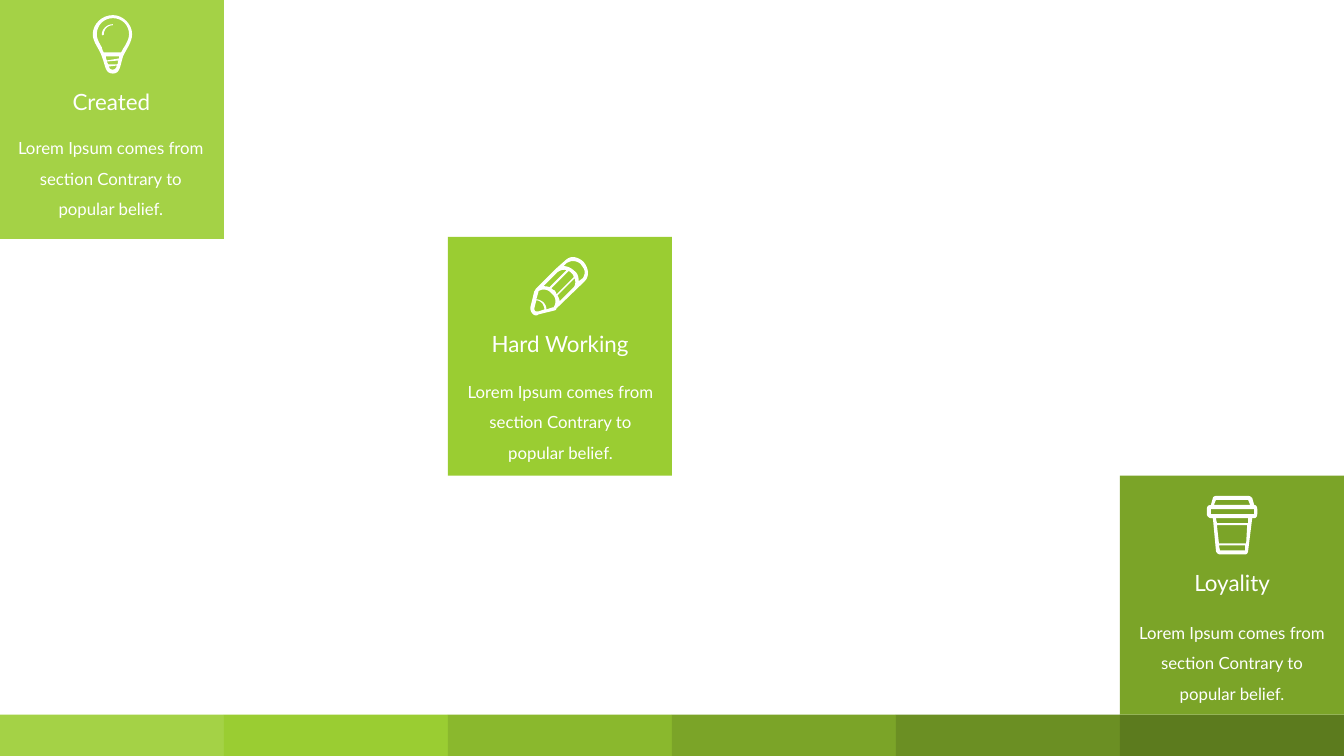
"""Build a slide with three value cards stepping down to a six-colour footer band."""
from pptx import Presentation
from pptx import util as u
from pptx.dml import color as dml
from pptx.enum import shapes, text

FONT, WHITE = "Lato", "FFFFFF"
BODY = "Lorem Ipsum comes from section Contrary to popular belief."
GREENS = ["A4D246", "9ACD32", "8AB82D", "7BA428", "6B8F23", "5C7B1E"]
CURVE_STEPS = 8

prs = Presentation()
prs.slide_width, prs.slide_height = u.Inches(13.33), u.Inches(7.5)
s = prs.slides.add_slide(prs.slide_layouts[6])
col = prs.slide_width / len(GREENS)
card_h = u.Inches(2.37)
band_top = u.Inches(7.09)


def paint(sp, color):
    """Give a shape a flat fill without line or shadow."""
    sp.shadow.inherit = False
    sp.fill.solid()
    sp.fill.fore_color.rgb = dml.RGBColor.from_string(color)
    sp.line.fill.background()


def write(content, x, y, w, h, size=12, spacing=None, wrap=True):
    """Add a centred white text box, measured in inches."""
    box = s.shapes.add_textbox(u.Inches(x), u.Inches(y), u.Inches(w), u.Inches(h))
    tf = box.text_frame
    tf.word_wrap = wrap
    tf.auto_size = text.MSO_AUTO_SIZE.SHAPE_TO_FIT_TEXT
    p = tf.paragraphs[0]
    p.alignment = text.PP_ALIGN.CENTER
    p.line_spacing = spacing
    r = p.add_run()
    r.text = content
    r.font.name, r.font.size = FONT, u.Pt(size)
    r.font.color.rgb = dml.RGBColor.from_string(WHITE)


for i, green in enumerate(GREENS):
    sp = s.shapes.add_shape(shapes.MSO_SHAPE.RECTANGLE, round(i * col), band_top,
                            round(col), prs.slide_height - band_top)
    paint(sp, green)

bulb = [
    [(20, 0), (9, 0, 0, 9, 0, 19), (0, 27, 7, 34, 9, 41), (13, 51, 12, 58, 20, 58),
     (27, 58, 27, 51, 30, 41), (33, 34, 39, 27, 39, 19), (39, 9, 30, 0, 20, 0)],
    [(24, 49), (16, 49), (15, 49, 15, 48, 14, 46), (26, 45), (25, 46),
     (25, 48, 25, 48, 24, 49)],
    [(14, 45), (13, 43, 13, 42, 13, 41), (27, 41), (26, 41, 26, 42, 26, 43)],
    [(20, 54), (18, 54, 17, 54, 16, 51), (24, 50), (23, 53, 22, 54, 20, 54)],
    [(28, 37), (11, 37), (10, 36, 9, 33, 9, 32), (6, 27, 4, 23, 4, 19),
     (4, 10, 11, 3, 20, 3), (29, 3, 36, 10, 36, 19), (36, 23, 34, 27, 31, 32),
     (30, 33, 29, 36, 28, 37)],
]
shine = [
    [(20, 9), (14, 9, 9, 14, 9, 19), (9, 20, 9, 20, 10, 20), (10, 20, 11, 20, 11, 19),
     (11, 14, 15, 10, 20, 10)],
]
pencil = [
    [(53, 5), (50, 2, 46, 0, 42, 0), (39, 0, 36, 2, 34, 4), (25, 12), (6, 31),
     (5, 32, 5, 33, 4, 34), (0, 50), (0, 55, 3, 58, 6, 58), (7, 58, 8, 57, 8, 57),
     (24, 53), (25, 53, 26, 52, 26, 51), (54, 24), (59, 19, 58, 11, 53, 5)],
    [(29, 43), (29, 42, 28, 40, 27, 38), (44, 21), (45, 24, 45, 28, 43, 30), (29, 44)],
    [(26, 37), (26, 36, 25, 34, 24, 33), (23, 33, 22, 32, 21, 31), (38, 14),
     (39, 14, 40, 15, 41, 16), (42, 17, 43, 18, 43, 20)],
    [(19, 30), (17, 29, 15, 29, 13, 29), (27, 15), (30, 13, 33, 12, 36, 13)],
    [(8, 54), (7, 54, 7, 54, 6, 54), (5, 54, 4, 53, 4, 51), (6, 43),
     (8, 43, 10, 44, 12, 46), (13, 48, 14, 50, 14, 52)],
    [(16, 52), (16, 49, 15, 47, 13, 45), (11, 43, 8, 42, 6, 42), (8, 35), (8, 34),
     (12, 31, 18, 32, 21, 36), (26, 40, 26, 46, 23, 50), (22, 50)],
    [(52, 21), (48, 24), (48, 23), (48, 20, 47, 16, 44, 14), (41, 11, 37, 9, 33, 9),
     (36, 6), (38, 5, 40, 4, 42, 4), (45, 4, 48, 5, 50, 7), (52, 10, 54, 12, 54, 15),
     (54, 17, 53, 20, 52, 21)],
]
cup = [
    [(47, 9), (45, 2), (44, 1, 43, 0, 41, 0), (9, 0), (8, 0, 6, 1, 6, 2), (4, 9),
     (1, 9, 0, 11, 0, 13), (0, 18), (0, 20, 2, 22, 4, 22), (6, 22), (9, 54),
     (9, 56, 11, 58, 13, 58), (38, 58), (40, 58, 41, 56, 41, 54), (45, 22), (47, 22),
     (49, 22, 50, 20, 50, 18), (50, 13), (50, 11, 49, 9, 47, 9)],
    [(9, 4), (41, 4), (43, 9), (7, 9)],
    [(13, 54), (12, 49), (38, 49), (38, 54)],
    [(39, 47), (12, 47), (10, 29), (40, 29)],
    [(41, 27), (10, 27), (9, 22), (41, 22)],
    [(47, 18), (4, 18), (4, 13), (47, 13)],
]

cards = [
    ("Loyality", 5, 4.72, GREENS[3], (11.73, 5.6, 0.98), (11.12, 6.03), (11.97, 4.92), [cup]),
    ("Hard Working", 2, 2.35, GREENS[1], (4.75, 3.23, 1.61), (4.46, 3.64), (5.26, 2.55), [pencil]),
    ("Created", 0, 0, GREENS[0], (0.61, 0.83, 0.99), (0, 1.22), (0.92, 0.15), [bulb, shine]),
]
for title, column, top, green, title_at, body_at, icon_at, icon in cards:
    sp = s.shapes.add_shape(shapes.MSO_SHAPE.RECTANGLE, round(column * col), u.Inches(top),
                            round(col), card_h)
    paint(sp, green)
    write(BODY, *body_at, 2.2, 1.01, spacing=1.5)
    write(title, *title_at, 0.37, size=16, wrap=False)
    for outline in icon:
        builder = None
        for contour in outline:
            points = [contour[0]]
            for step in contour[1:]:
                if len(step) == 2:
                    points.append(step)
                    continue
                start = points[-1]
                for n in range(1, CURVE_STEPS + 1):
                    t = n / CURVE_STEPS
                    points.append(tuple(
                        (1 - t) ** 3 * start[k] + 3 * (1 - t) ** 2 * t * step[k]
                        + 3 * (1 - t) * t ** 2 * step[k + 2] + t ** 3 * step[k + 4]
                        for k in (0, 1)))
            spots = [(u.Inches(icon_at[0] + x / 100), u.Inches(icon_at[1] + y / 100))
                     for x, y in points]
            if builder is None:
                builder = s.shapes.build_freeform(*spots[0])
            else:
                builder.move_to(*spots[0])
            builder.add_line_segments(spots[1:], close=True)
        paint(builder.convert_to_shape(), WHITE)

prs.save("out.pptx")
